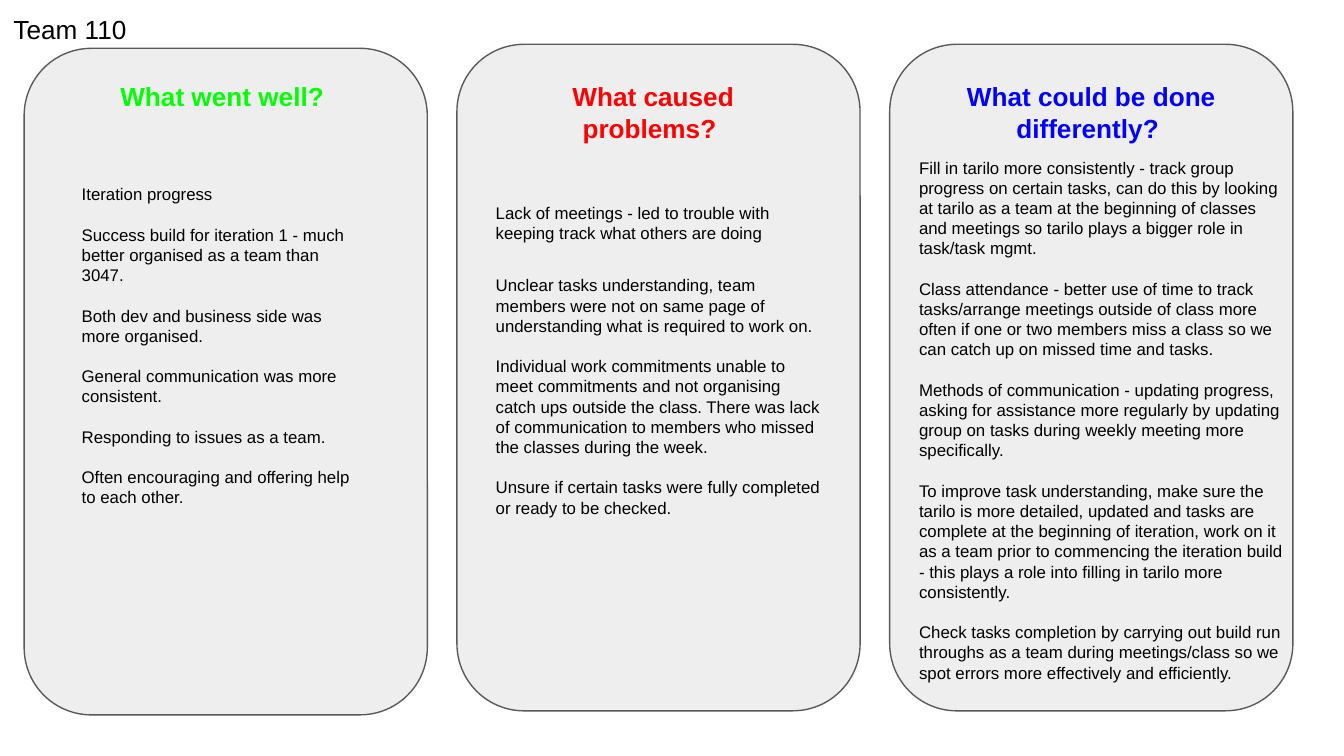
from pptx import Presentation
from pptx.dml.color import RGBColor
from pptx.enum.shapes import MSO_SHAPE
from pptx.enum.text import MSO_ANCHOR, MSO_AUTO_SIZE, PP_ALIGN
from pptx.util import Inches, Pt

BLACK = RGBColor(0x00, 0x00, 0x00)
GREEN = RGBColor(0x00, 0xFF, 0x00)
RED = RGBColor(0xFF, 0x00, 0x00)
BLUE = RGBColor(0x00, 0x00, 0xFF)
PANEL_FILL = RGBColor(0xEE, 0xEE, 0xEE)
PANEL_LINE = RGBColor(0x59, 0x59, 0x59)

PANEL_LEFT, PANEL_STEP = 0.18, 3.22
LINE_GAP = 10.8  # points, one body line between notes

# Places are left, top, width, height in inches
COLUMNS = [
    {
        "panel_top": 0.36,
        "heading": "What went well? ",
        "heading_place": (0.59, 0.5, 2.18, 0.44),
        "color": GREEN,
        "notes_place": (0.51, 1.27, 2.26, 3.33),
        "first_gap": LINE_GAP,
        "notes": [
            "Iteration progress",
            "Success build for iteration 1 - much better organised as a team than 3047.",
            "Both dev and business side was more organised.",
            "General communication was more consistent.",
            "Responding to issues as a team.",
            "Often encouraging and offering help to each other.",
        ],
    },
    {
        "panel_top": 0.33,
        "heading": "What caused problems? ",
        "heading_place": (3.77, 0.5, 2.18, 0.67),
        "color": RED,
        "notes_place": (3.59, 1.41, 2.62, 3.74),
        "first_gap": 17,
        "notes": [
            "Lack of meetings - led to trouble with keeping track what others are doing",
            "Unclear tasks understanding, team members were not on same page of "
            "understanding what is required to work on.",
            "Individual work commitments unable to meet commitments and not organising "
            "catch ups outside the class. There was lack of communication to members "
            "who missed the classes during the week.",
            "Unsure if certain tasks were fully completed or ready to be checked.",
        ],
    },
    {
        "panel_top": 0.33,
        "heading": "What could be done differently? ",
        "heading_place": (7.03, 0.5, 2.18, 0.67),
        "color": BLUE,
        "notes_place": (6.74, 1.07, 2.94, 4.53),
        "first_gap": LINE_GAP,
        "notes": [
            "Fill in tarilo more consistently - track group progress on certain tasks, "
            "can do this by looking at tarilo as a team at the beginning of classes and "
            "meetings so tarilo plays a bigger role in task/task mgmt.",
            "Class attendance - better use of time to track tasks/arrange meetings "
            "outside of class more often if one or two members miss a class so we can "
            "catch up on missed time and tasks.",
            "Methods of communication - updating progress, asking for assistance more "
            "regularly by updating group on tasks during weekly meeting more specifically.",
            "To improve task understanding, make sure the tarilo is more detailed, "
            "updated and tasks are complete at the beginning of iteration, work on it "
            "as a team prior to commencing the iteration build - this plays a role into "
            "filling in tarilo more consistently.",
            "Check tasks completion by carrying out build run throughs as a team during "
            "meetings/class so we spot errors more effectively and efficiently.",
        ],
    },
]


def write_text(box, texts, size=9, color=BLACK, bold=False,
               align=PP_ALIGN.LEFT, gap=0, first_gap=0):
    """Fill a box with one paragraph per text; gaps are in points."""
    frame = box.text_frame
    frame.word_wrap = True
    frame.auto_size = MSO_AUTO_SIZE.NONE
    frame.vertical_anchor = MSO_ANCHOR.TOP
    frame.margin_left = frame.margin_right = Inches(0.1)
    frame.margin_top = frame.margin_bottom = Inches(0.1)
    for index, text in enumerate(texts):
        para = frame.paragraphs[0] if index == 0 else frame.add_paragraph()
        para.alignment = align
        para.space_before = Pt(0)
        if index < len(texts) - 1:
            para.space_after = Pt(first_gap if index == 0 else gap)
        span = para.add_run()
        span.text = text
        span.font.name = "Arial"
        span.font.size = Pt(size)
        span.font.bold = bold
        span.font.color.rgb = color


def add_title(page, text):
    title = page.shapes.title
    title.left, title.top = Inches(0), Inches(0)
    title.width, title.height = Inches(3), Inches(0.44)
    write_text(title, [text], size=14)


def add_panel(page, left, top):
    panel = page.shapes.add_shape(MSO_SHAPE.ROUNDED_RECTANGLE, Inches(left),
                                  Inches(top), Inches(3), Inches(4.96))
    panel.shadow.inherit = False
    panel.fill.solid()
    panel.fill.fore_color.rgb = PANEL_FILL
    panel.line.color.rgb = PANEL_LINE
    panel.line.width = Pt(0.75)


def add_text(page, place, texts, **text_format):
    box = page.shapes.add_textbox(*map(Inches, place))
    write_text(box, texts, **text_format)


def main():
    deck = Presentation()
    deck.slide_width = Inches(10)
    deck.slide_height = Inches(10) * 9 // 16
    page = deck.slides.add_slide(deck.slide_layouts[5])

    add_title(page, "Team 110")

    # One panel with heading and notes per question
    for index, column in enumerate(COLUMNS):
        add_panel(page, PANEL_LEFT + index * PANEL_STEP, column["panel_top"])
        add_text(page, column["heading_place"], [column["heading"]], size=14,
                 color=column["color"], bold=True, align=PP_ALIGN.CENTER)
        add_text(page, column["notes_place"], column["notes"],
                 gap=LINE_GAP, first_gap=column["first_gap"])

    deck.save("out.pptx")


if __name__ == "__main__":
    main()
